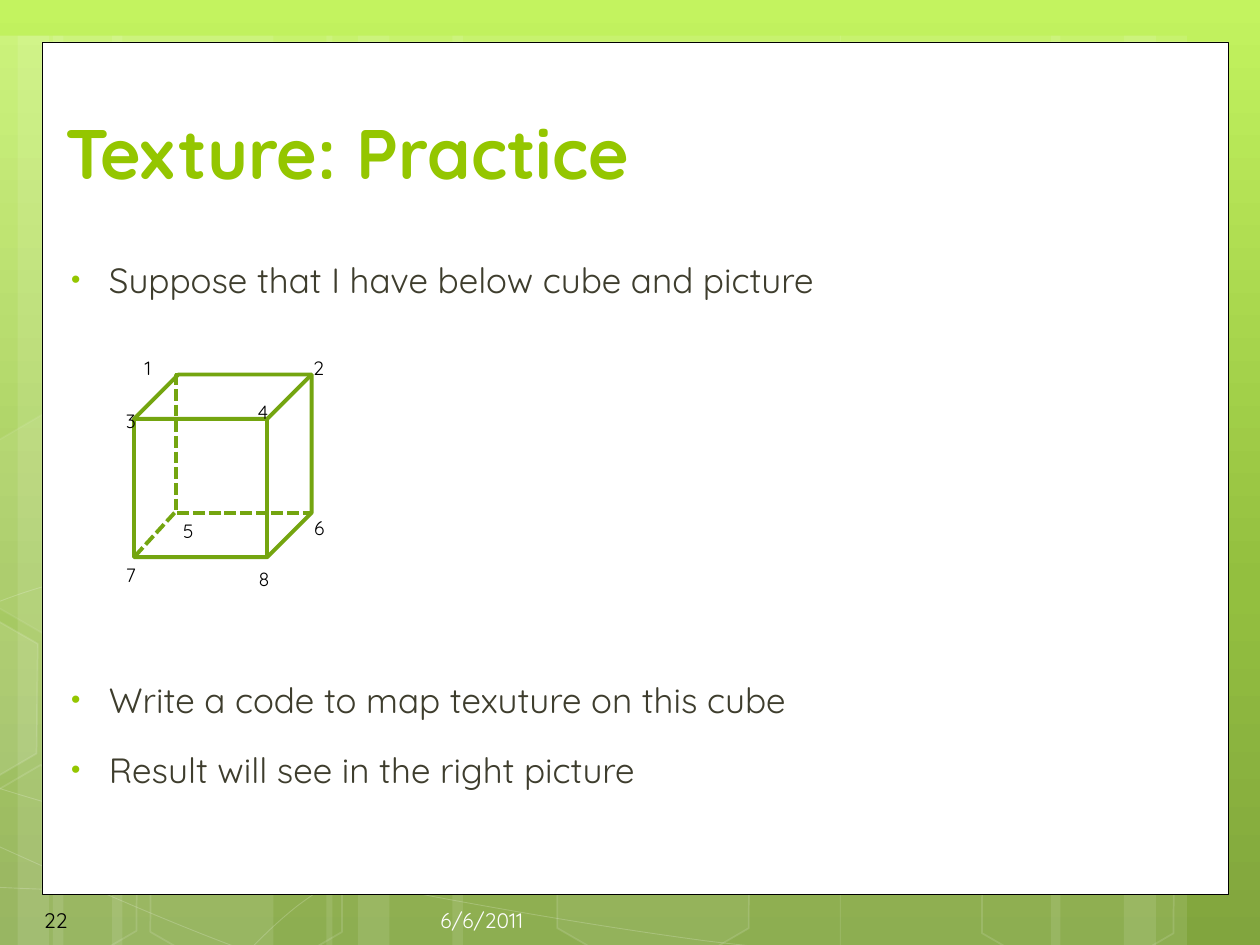
from typing import NamedTuple

import copy
import pptx
import pptx.dml.color
import pptx.enum.dml
import pptx.enum.shapes
import pptx.enum.text
import pptx.oxml.ns
import pptx.util
from lxml import etree

Pt = pptx.util.Pt
qn = pptx.oxml.ns.qn
MSO = pptx.enum.shapes.MSO_SHAPE
LINK = pptx.enum.shapes.MSO_CONNECTOR
ANCHOR = pptx.enum.text.MSO_ANCHOR
ALIGN = pptx.enum.text.PP_ALIGN

FONT = "Quicksand"
COLORS = {
    "sky": "C3F35F", "leaf": "93BF3F", "moss": "81A53E", "white": "FFFFFF",
    "black": "000000", "title": "94C600", "body": "3E3D2D", "date": "FEFEFE",
    "cube": "74A510",
}


class Bar(NamedTuple):
    left: float
    width: float


class Hexagon(NamedTuple):
    left: float
    top: float
    fill_alpha: int
    line_alpha: int


class Label(NamedTuple):
    text: str
    left: float
    top: float
    width: float
    height: float = 16.5
    size: float = 11
    color: str = "black"
    align: ALIGN = ALIGN.LEFT
    anchor: ANCHOR = ANCHOR.TOP


class Bullet(NamedTuple):
    text: str
    before: float


BARS = [Bar(30.24, 126), Bar(-23.76, 60), Bar(64, 126), Bar(-8, 36), Bar(10, 60),
        Bar(480, 126), Bar(642.24, 36), Bar(600.5, 60), Bar(258.5, 222),
        Bar(186.5, 36), Bar(204.5, 60)]

# Each curve is a start point followed by Bezier triples.
CURVES = [
    [(-42.5, 504.7), (-3.6, 506.9), (35.3, 509.8), (89.3, 508.3),
     (143.3, 507.6), (210.2, 506.2), (282.2, 499), (354.2, 491.8), (456.5, 478.1),
     (522.7, 464.4), (588.2, 450.7), (655.9, 429.1), (677.5, 416.9)],
    [(-42.5, 363.6), (-21.6, 352.8), (-0.7, 341.3), (39.6, 331.2),
     (80.6, 320.4), (139, 304.6), (202.3, 298.8), (266.4, 293.8), (344.2, 293.8),
     (423.4, 298.8), (502.6, 304.6), (634.3, 326.9), (677.5, 332.6)],
    [(-43.2, 464.4), (43.9, 504), (130.3, 543.6), (193, 560.2)],
    [(-42.5, 436.3), (-20.2, 444.2), (2.9, 452.2), (44.6, 463.7),
     (86.4, 475.2), (149, 492.5), (208.8, 504.7), (269.3, 517), (344.9, 529.9),
     (404.6, 537.8), (464.4, 545), (528.5, 547.9), (566.6, 550.8),
     (604.1, 553), (614.2, 551.5), (632.9, 551.5), (651.6, 551.5),
     (664.6, 550.1), (677.5, 548.6)],
    [(126.7, 560.2), (139.7, 545.8), (152.6, 531.4), (169.9, 517.7),
     (187.2, 504.7), (211.7, 490.3), (231.8, 480.2), (252, 470.9), (264.2, 466.6),
     (290.2, 458.6), (316.8, 451.4), (365, 441.4), (390.2, 436.3),
     (416.2, 432), (419.8, 432), (442.1, 429.8), (464.4, 428.4), (499.7, 426.2),
     (524.2, 425.5), (549.4, 424.8), (590.4, 425.5), (638.6, 425.5),
     (651.6, 425.5), (663.8, 427), (676.8, 428.4)],
]
EDGE_HEXAGON = [(-41.8, 340.6), (-33.8, 336.2), (21.6, 367.9), (20.9, 430.6),
                (-33.1, 462.2), (-41.8, 457.9)]
HEXAGONS = [Hexagon(310.3, 444.2, 6, 12), Hexagon(-39.6, 445.7, 0, 12),
            Hexagon(-37.4, 244.8, 7, 8), Hexagon(77.8, 446.4, 0, 12),
            Hexagon(553, 447.1, 0, 12)]

BULLETS = [Bullet("Suppose that I have below cube and picture", 2.5),
           Bullet("Write a code to map texuture on this cube", 204.2),
           Bullet("Result will see in the right picture", 3.7)]
FOOTERS = [Label("6/6/2011", 138.24, 511.2, 167.76, 28.8, 12, "date", ALIGN.RIGHT,
                 ANCHOR.MIDDLE),
           Label("22", 18, 511.2, 105, 28.8, 12, anchor=ANCHOR.MIDDLE)]
CORNERS = [Label("7", 64.8, 318.2, 29.5), Label("8", 140.8, 320.4, 44),
           Label("6", 172.5, 291.6, 43.2), Label("5", 97.6, 293, 38.2),
           Label("3", 64.8, 230.4, 22.3), Label("1", 75.6, 200.2, 41.8),
           Label("2", 171.8, 200.2, 44), Label("4", 140.1, 225.4, 38.2)]


def rgb(name: str) -> pptx.dml.color.RGBColor:
    return pptx.dml.color.RGBColor.from_string(COLORS[name])


def paint(fill, name: str, alpha: int = 100) -> None:
    """Fill with a solid colour at an opacity in percent; 0 means no fill."""
    if not alpha:
        fill.background()
        return
    fill.solid()
    fill.fore_color.rgb = rgb(name)
    if alpha < 100:
        clr = fill._xPr.find(qn("a:solidFill"))[0]
        etree.SubElement(clr, qn("a:alpha"), val=str(alpha * 1000))


def style(sp, fill_alpha: int, line: str, width: float, line_alpha: int = 100) -> None:
    sp.shadow.inherit = False
    paint(sp.fill, "white", fill_alpha)
    if line_alpha:
        sp.line.width = Pt(width)
    paint(sp.line.fill, line, line_alpha)


def add_shape(s, kind: MSO, left: float, top: float, width: float, height: float):
    return s.shapes.add_shape(kind, Pt(left), Pt(top), Pt(width), Pt(height))


def add_outline(s, points: list, close: bool):
    pts = [(Pt(x), Pt(y)) for x, y in points]
    builder = s.shapes.build_freeform(*pts[0])
    builder.add_line_segments(pts[1:], close=close)
    return builder.convert_to_shape()


def add_curve(s, points: list):
    """Draw a chain of cubic Bezier segments: each three points become one."""
    sp = add_outline(s, points, False)
    lines = list(sp._element.spPr.iter(qn("a:lnTo")))
    for i in range(0, len(lines), 3):
        bezier = etree.Element(qn("a:cubicBezTo"))
        lines[i].addprevious(bezier)
        for line in lines[i:i + 3]:
            bezier.append(line[0])
            line.getparent().remove(line)
    return sp


def draw_background(s) -> None:
    fill = s.background.fill
    fill.gradient()
    fill.gradient_angle = 270
    first = fill._fill._gradFill.find(qn("a:gsLst"))[0]
    first.addnext(copy.deepcopy(first))
    for stop, (name, pos) in zip(fill.gradient_stops,
                                 [("sky", 0), ("leaf", 0.62), ("moss", 1)]):
        stop.color.rgb = rgb(name)
        stop.position = pos
    for bar in BARS:
        sp = add_shape(s, MSO.RECTANGLE, bar.left, 20.4, bar.width, 540)
        style(sp, 10, "white", 0, 0)
    for curve in CURVES:
        style(add_curve(s, curve), 0, "white", 0.5, 20)
    style(add_outline(s, EDGE_HEXAGON, True), 10, "white", 1, 12)
    for h in HEXAGONS:
        sp = add_shape(s, MSO.HEXAGON, h.left, h.top, 126, 109.4)
        sp.adjustments[0] = 0.285
        sp.rotation = 30
        style(sp, h.fill_alpha, "white", 1, h.line_alpha)
    style(add_shape(s, MSO.RECTANGLE, 24, 24, 678, 487), 100, "black", 0.5)


def add_run(p, text: str, size: float, color: str, bold: bool = False) -> None:
    r = p.add_run()
    r.text = text
    r.font.name, r.font.size, r.font.bold = FONT, Pt(size), bold
    r.font.color.rgb = rgb(color)


def place(s, sp, left: float, top: float, width: float, height: float):
    """Move a placeholder in front of the background and return its text frame."""
    s.shapes.element.append(sp.element)
    sp.left, sp.top, sp.width, sp.height = Pt(left), Pt(top), Pt(width), Pt(height)
    sp.text_frame.auto_size = pptx.enum.text.MSO_AUTO_SIZE.NONE
    return sp.text_frame


def add_bullet(p, item: Bullet) -> None:
    p.line_spacing = 1.5
    p.space_before = Pt(item.before)
    pPr = p._p.get_or_add_pPr()
    pPr.set("marL", str(Pt(27.4)))
    pPr.set("indent", str(Pt(-21.6)))
    clr = etree.SubElement(pPr, qn("a:buClr"))
    etree.SubElement(clr, qn("a:srgbClr"), val=COLORS["title"])
    etree.SubElement(pPr, qn("a:buSzPct"), val="76000")
    etree.SubElement(pPr, qn("a:buFont"), typeface="Arial")
    etree.SubElement(pPr, qn("a:buChar"), char="•")
    add_run(p, item.text, 20, "body")


def add_label(s, label: Label) -> None:
    tf = s.shapes.add_textbox(Pt(label.left), Pt(label.top), Pt(label.width),
                              Pt(label.height)).text_frame
    tf.word_wrap = True
    tf.vertical_anchor = label.anchor
    p = tf.paragraphs[0]
    p.alignment = label.align
    add_run(p, label.text, label.size, label.color)


def add_hidden_edge(s, kind: LINK, x1: float, y1: float, x2: float, y2: float):
    c = s.shapes.add_connector(kind, Pt(x1), Pt(y1), Pt(x2), Pt(y2))
    c.line.color.rgb = rgb("cube")
    c.line.width = Pt(2.25)
    c.line.dash_style = pptx.enum.dml.MSO_LINE.SQUARE_DOT
    etree.SubElement(c._element.spPr, qn("a:effectLst"))
    return c


def draw_cube(s) -> None:
    left, top, width, height, depth = 76.6, 214, 101.5, 104.4, 25.4
    style(add_shape(s, MSO.CUBE, left, top, width, height), 0, "cube", 2.25)
    back_x, back_y = left + 23.2, top + height - depth
    elbow = add_hidden_edge(s, LINK.ELBOW, back_x, top, left + width, back_y)
    geom = elbow._element.spPr.find(qn("a:prstGeom"))
    etree.SubElement(geom.get_or_add_avLst(), qn("a:gd"), name="adj1", fmla="val 900")
    add_hidden_edge(s, LINK.STRAIGHT, back_x, back_y, left, top + height)


def main() -> None:
    prs = pptx.Presentation()
    prs.slide_width, prs.slide_height = Pt(720), Pt(540)
    s = prs.slides.add_slide(prs.slide_layouts[1])
    title, body = s.placeholders
    draw_background(s)
    tf = place(s, title, 30, 24, 666, 90)
    tf.vertical_anchor = ANCHOR.BOTTOM
    p = tf.paragraphs[0]
    p.alignment = ALIGN.LEFT
    add_run(p, "Texture: Practice", 40, "title", True)
    tf = place(s, body, 27.6, 132, 670, 378)
    for i, item in enumerate(BULLETS):
        add_bullet(tf.add_paragraph() if i else tf.paragraphs[0], item)
    draw_cube(s)
    for label in FOOTERS + CORNERS:
        add_label(s, label)
    prs.save("out.pptx")


if __name__ == "__main__":
    main()
